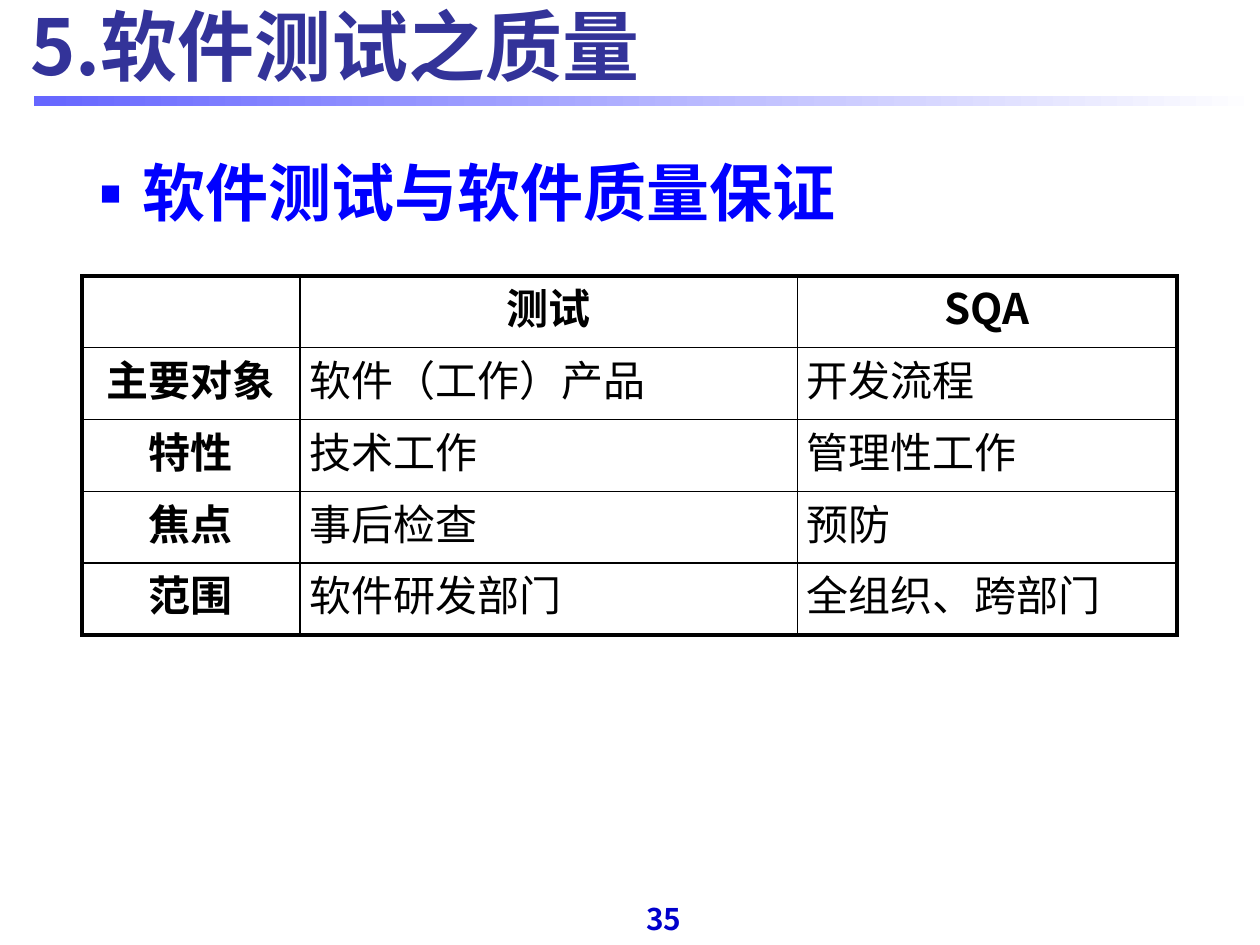
import dataclasses

import pptx
import pptx.dml.color
import pptx.enum.shapes
import pptx.enum.text
import pptx.oxml
import pptx.oxml.ns
import pptx.util

Inches = pptx.util.Inches
Pt = pptx.util.Pt
Align = pptx.enum.text.PP_ALIGN
Anchor = pptx.enum.text.MSO_ANCHOR

FACE = "Noto Sans CJK SC"
COLORS = {
    "title": "333399",
    "topic": "0000FF",
    "number": "0000CC",
    "bar": "6666FF",
    "paper": "FFFFFF",
    "ink": "000000",
}
ROWS = [
    ("", "测试", "SQA"),
    ("主要对象", " 软件（工作）产品", " 开发流程"),
    ("特性", " 技术工作", " 管理性工作"),
    ("焦点", " 事后检查", " 预防"),
    ("范围", " 软件研发部门", " 全组织、跨部门"),
]
WIDTHS = (1.73, 3.95, 3.01)
HEIGHT = 0.57
THIN, THICK = 1, 2.25


@dataclasses.dataclass
class Style:
    size: float
    color: str
    bold: bool = True
    align: Align = Align.LEFT


@dataclasses.dataclass
class Box:
    left: float
    top: float
    width: float
    height: float

    def lengths(self) -> tuple:
        return tuple(Inches(n) for n in dataclasses.astuple(self))


def paint(name: str) -> pptx.dml.color.RGBColor:
    return pptx.dml.color.RGBColor.from_string(COLORS[name])


def make(tag: str, **attrs: str):
    node = pptx.oxml.parse_xml(f"<{tag} {pptx.oxml.ns.nsdecls('a')}/>")
    for key, value in attrs.items():
        node.set(key, value)
    return node


def write(para, text: str, style: Style) -> None:
    para.text = text
    para.alignment = style.align
    font = para.font
    font.name = FACE
    font.size = Pt(style.size)
    font.bold = style.bold
    font.color.rgb = paint(style.color)
    props = para._p.pPr.find(pptx.oxml.ns.qn("a:defRPr"))
    props.append(make("a:ea", typeface=FACE))


def place(shape, box: Box, anchor: Anchor):
    shape.left, shape.top, shape.width, shape.height = box.lengths()
    frame = shape.text_frame
    frame.auto_size = pptx.enum.text.MSO_AUTO_SIZE.NONE
    frame.vertical_anchor = anchor
    return frame.paragraphs[0]


def bullet(para, char: str, indent: float, color: str) -> None:
    props = para._p.get_or_add_pPr()
    props.set("marL", str(Inches(indent)))
    props.set("indent", str(-Inches(indent)))
    tint = make("a:buClr")
    tint.append(make("a:srgbClr", val=COLORS[color]))
    props.append(tint)
    props.append(make("a:buFont", typeface=FACE))
    props.append(make("a:buChar", char=char))


def border(cell, side: str, width: float) -> None:
    line = make(f"a:ln{side}", w=str(Pt(width)))
    fill = make("a:solidFill")
    fill.append(make("a:srgbClr", val=COLORS["ink"]))
    line.append(fill)
    cell._tc.get_or_add_tcPr().append(line)


def draw_bar(slide, box: Box) -> None:
    bar = slide.shapes.add_shape(
        pptx.enum.shapes.MSO_SHAPE.RECTANGLE, *box.lengths())
    bar.shadow.inherit = False
    bar.line.fill.background()
    bar.fill.gradient()
    bar.fill.gradient_angle = 0
    for stop, spot, name in zip(bar.fill.gradient_stops, (0, 1), ("bar", "paper")):
        stop.position = spot
        stop.color.rgb = paint(name)


def draw_table(slide, left: float, top: float) -> None:
    box = Box(left, top, sum(WIDTHS), HEIGHT * len(ROWS))
    table = slide.shapes.add_table(
        len(ROWS), len(WIDTHS), *box.lengths()).table
    table.first_row = table.horz_banding = False
    for col, width in zip(table.columns, WIDTHS):
        col.width = Inches(width)
    last_row, last_col = len(ROWS) - 1, len(WIDTHS) - 1
    for i, row in enumerate(ROWS):
        table.rows[i].height = Inches(HEIGHT)
        for j, text in enumerate(row):
            cell = table.cell(i, j)
            cell.margin_left = cell.margin_right = 0
            cell.margin_top = cell.margin_bottom = 0
            edges = {"L": j == 0, "R": j == last_col,
                     "T": i == 0, "B": i == last_row}
            for side, outer in edges.items():
                border(cell, side, THICK if outer else THIN)
            cell.fill.background()
            head = i == 0 or j == 0
            para = cell.text_frame.paragraphs[0]
            para.space_before = Pt(4.8)
            write(para, text, Style(
                24, "ink", head, Align.CENTER if head else Align.LEFT))


def main() -> None:
    deck = pptx.Presentation()
    deck.slide_width, deck.slide_height = Inches(10), Inches(7.5)
    slide = deck.slides.add_slide(deck.slide_layouts[1])

    draw_bar(slide, Box(0.27, 0.76, 9.73, 0.08))

    title = place(slide.shapes.title, Box(0, 0.01, 9.14, 0.76), Anchor.BOTTOM)
    write(title, " 5.软件测试之质量", Style(44, "title"))

    topic = place(slide.placeholders[1], Box(0.53, 1.17, 8.79, 0.61), Anchor.TOP)
    bullet(topic, "▪", 0.5, "topic")
    write(topic, "软件测试与软件质量保证", Style(36, "topic"))

    draw_table(slide, 0.65, 2.19)

    spot = Box(5.11, 7.08, 0.32, 0.42)
    label = slide.shapes.add_textbox(*spot.lengths())
    number = place(label, spot, Anchor.MIDDLE)
    label.text_frame.word_wrap = False
    write(number, "35", Style(17, "number", align=Align.CENTER))

    deck.save("out.pptx")


if __name__ == "__main__":
    main()
